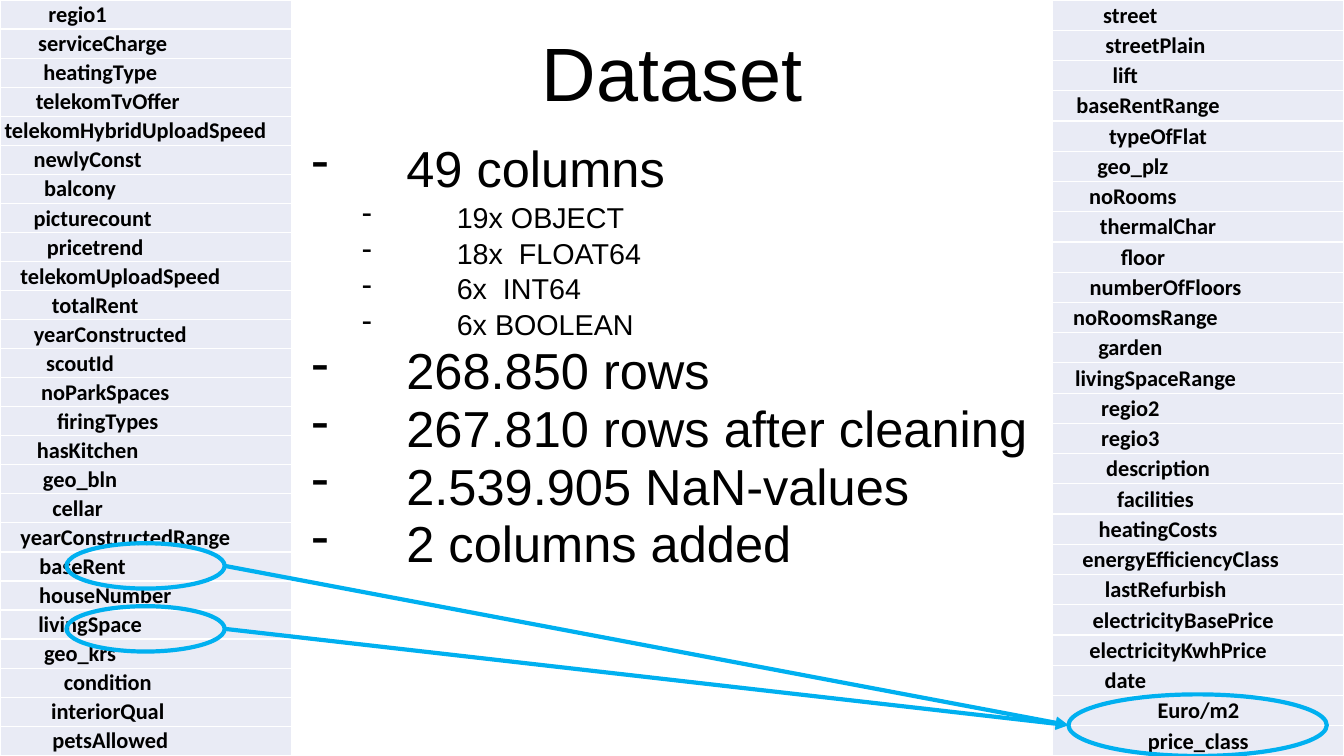
from lxml import etree
from pptx import Presentation
from pptx.dml.color import RGBColor
from pptx.enum import shapes, text
from pptx.oxml import parse_xml
from pptx.oxml.ns import qn
from pptx.util import Pt

BLACK = RGBColor(0, 0, 0)
CELL = RGBColor(0xE9, 0xEB, 0xF5)
MARK = RGBColor(0, 0xB0, 0xF0)
NS = "http://schemas.openxmlformats.org/drawingml/2006/main"
PAD = 3.6  # step, in points, that shifts a name left of the cell centre

# Field name and its number of shift steps
LEFT = [
    ("regio1", 27), ("serviceCharge", 17), ("heatingType", 18),
    ("telekomTvOffer", 15), ("telekomHybridUploadSpeed", 4),
    ("newlyConst", 23), ("balcony", 26), ("picturecount", 21),
    ("pricetrend", 20), ("telekomUploadSpeed", 10), ("totalRent", 20),
    ("yearConstructed", 14), ("scoutId", 26), ("noParkSpaces", 16),
    ("firingTypes", 15), ("hasKitchen", 23), ("geo_bln", 26),
    ("cellar", 27), ("yearConstructedRange", 8), ("baseRent", 25),
    ("houseNumber", 16), ("livingSpace", 22), ("geo_krs", 26),
    ("condition", 15), ("interiorQual", 15), ("petsAllowed", 14),
]
RIGHT = [
    ("street", 27), ("streetPlain", 17), ("lift", 29),
    ("baseRentRange", 20), ("typeOfFlat", 16), ("geo_plz", 26),
    ("noRooms", 26), ("thermalChar", 16), ("floor", 22),
    ("numberOfFloors", 13), ("noRoomsRange", 21), ("garden", 27),
    ("livingSpaceRange", 17), ("regio2", 27), ("regio3", 27),
    ("description", 16), ("facilities", 17), ("heatingCosts", 16),
    ("energyEfficiencyClass", 7), ("lastRefurbish", 13),
    ("electricityBasePrice", 6), ("electricityKwhPrice", 8),
    ("date", 29), ("Euro/m2", 0), ("price_class", 0),
]
# Text, level and space before
FACTS = [
    ("49 columns", 0, 0), ("19x OBJECT", 1, 1), ("18x  FLOAT64", 1, 1),
    ("6x  INT64", 1, 1), ("6x BOOLEAN", 1, 1), ("268.850 rows", 0, 3),
    ("267.810 rows after cleaning", 0, 2.6),
    ("2.539.905 NaN-values", 0, 2), ("2 columns added", 0, 2),
]


def style(item, **vals):
    for key, val in vals.items():
        setattr(item, key, val)


def ink(font, name, size, bold=False):
    style(font, name=name, size=Pt(size), bold=bold)
    font.color.rgb = BLACK


def title(slide, box):
    head = slide.shapes.title
    style(head, **dict(zip(("left", "top", "width", "height"), map(Pt, box))))
    style(head.text_frame, text="Dataset", word_wrap=True,
          vertical_anchor=text.MSO_ANCHOR.BOTTOM)
    para = head.text_frame.paragraphs[0]
    style(para, alignment=text.PP_ALIGN.CENTER, line_spacing=0.9)
    ink(para.font, "Arial", 54)


def edge(cell):
    """Draw a thin white line on every side of the cell."""
    props = cell._tc.get_or_add_tcPr()
    for i, side in enumerate("LRTB"):
        props.insert(i, parse_xml(
            f'<a:ln{side} xmlns:a="{NS}" w="{Pt(1)}"><a:solidFill>'
            f'<a:srgbClr val="FFFFFF"/></a:solidFill></a:ln{side}>'))


def fields(slide, box, names):
    """Fill the box with a one-column table of field names."""
    high = box[3] / len(names)
    grid = slide.shapes.add_table(len(names), 1, *map(Pt, box)).table
    style(grid, first_row=False, horz_banding=False)
    for row, (name, steps) in zip(grid.rows, names):
        row.height = Pt(high)
        cell = row.cells[0]
        style(cell, text=name, vertical_anchor=text.MSO_ANCHOR.MIDDLE,
              margin_left=Pt(0.7), margin_right=Pt(0.7 + steps * PAD),
              margin_top=Pt(0.7), margin_bottom=0)
        cell.fill.solid()
        cell.fill.fore_color.rgb = CELL
        edge(cell)
        para = cell.text_frame.paragraphs[0]
        para.alignment = text.PP_ALIGN.CENTER
        ink(para.font, "Calibri", 16, True)


def facts(slide, box):
    frame = slide.shapes.add_textbox(*map(Pt, box)).text_frame
    frame.word_wrap = True
    for i, (line, level, gap) in enumerate(FACTS):
        para = frame.add_paragraph() if i else frame.paragraphs[0]
        style(para, text=line, level=level, space_before=Pt(gap),
              line_spacing=1.0 if level else 0.9)
        props = para._p.get_or_add_pPr()
        props.set("marL", str(Pt(67.68 + 36 * level)))
        props.set("indent", str(-Pt(67.68)))
        etree.SubElement(props, qn("a:buChar")).set("char", "-")
        ink(para.font, "Arial", 20.5 if level else 36.1)


def ring(slide, box):
    oval = slide.shapes.add_shape(shapes.MSO_SHAPE.OVAL, *map(Pt, box))
    oval.shadow.inherit = False
    oval.fill.background()
    oval.line.color.rgb = MARK
    oval.line.width = Pt(3)
    return oval


def arrow(slide, start, end):
    """Point from the right of one ring to the left of another."""
    line = slide.shapes.add_connector(
        shapes.MSO_CONNECTOR.STRAIGHT,
        start.left + start.width, start.top + start.height // 2,
        end.left, end.top + end.height // 2)
    line.line.color.rgb = MARK
    line.line.width = Pt(3)
    props = line._element.spPr
    etree.SubElement(props.find(qn("a:ln")), qn("a:tailEnd")).set(
        "type", "triangle")
    etree.SubElement(props, qn("a:effectLst"))


def links(slide):
    """Ring the two base fields and point them at the added ones."""
    bases = [ring(slide, (47.5, top, 113, 32.4)) for top in (388, 433)]
    added = ring(slide, (763.2, 496, 184.5, 44))
    for base in bases:
        arrow(slide, base, added)


def main():
    deck = Presentation()
    style(deck, slide_width=Pt(960), slide_height=Pt(540))
    slide = deck.slides.add_slide(deck.slide_layouts[5])
    title(slide, (120, 23, 720, 65))
    fields(slide, (0, 0, 208, 540), LEFT)
    fields(slide, (752, 0, 208, 540), RIGHT)
    facts(slide, (215.5, 99, 531, 351))
    links(slide)
    deck.save("out.pptx")


if __name__ == "__main__":
    main()
